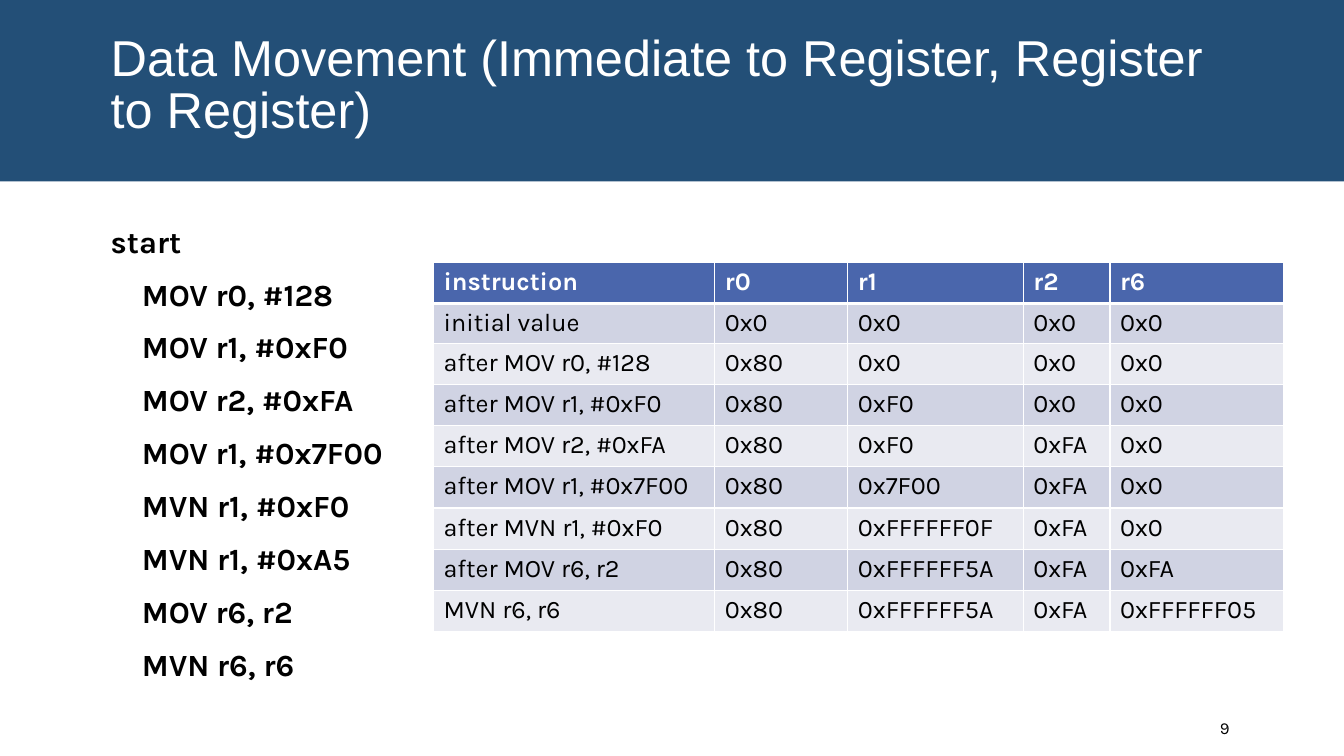
import pptx
import pptx.dml.color
import pptx.enum.shapes
import pptx.enum.text
import pptx.oxml
import pptx.oxml.ns
import pptx.util

SLIDE_WIDTH, SLIDE_HEIGHT = 13.33, 7.5
TITLE = "Data Movement (Immediate to Register, Register to Register)"
LABEL = "start"
INSTRUCTIONS = [
    "MOV r0, #128",
    "MOV r1, #0xF0",
    "MOV r2, #0xFA",
    "MOV r1, #0x7F00",
    "MVN r1, #0xF0",
    "MVN r1, #0xA5",
    "MOV r6, r2",
    "MVN r6, r6",
]
REGISTER_ROWS = [
    ("instruction", "r0", "r1", "r2", "r6"),
    ("initial value", "0x0", "0x0", "0x0", "0x0"),
    ("after MOV r0, #128", "0x80", "0x0", "0x0", "0x0"),
    ("after MOV r1, #0xF0", "0x80", "0xF0", "0x0", "0x0"),
    ("after MOV r2, #0xFA", "0x80", "0xF0", "0xFA", "0x0"),
    ("after MOV r1, #0x7F00", "0x80", "0x7F00", "0xFA", "0x0"),
    ("after MVN r1, #0xF0", "0x80", "0xFFFFFF0F", "0xFA", "0x0"),
    ("after MOV r6, r2", "0x80", "0xFFFFFF5A", "0xFA", "0xFA"),
    ("MVN r6, r6", "0x80", "0xFFFFFF5A", "0xFA", "0xFFFFFF05"),
]
PAGE_NUMBER = "9"

MARGIN = 1
CONTENT_WIDTH = SLIDE_WIDTH - 2 * MARGIN
BANNER_HEIGHT = 0.24 * SLIDE_HEIGHT
CODE_INDENT = 0.31
TABLE_LEFT, TABLE_TOP = 4.3, 2.6
COLUMN_WIDTHS = [2.79, 1.32, 1.74, 0.86, 1.72]
ROW_HEIGHTS = [0.41] + [0.39] * 2 + [0.41] * 6

WHITE, BLACK, BANNER_BLUE = "FFFFFF", "000000", "234F77"
HEADER_BLUE, BAND_COLORS = "4A66AC", ("D0D3E3", "E9EAF1")

TITLE_FONT = {"name": "Arial", "size": 36, "color": WHITE}
CODE_FONT = {"name": "Karla", "size": 22, "color": BLACK, "bold": True}
HEADER_FONT = {"name": "Karla", "size": 18, "color": WHITE, "bold": True}
CELL_FONT = {"name": "Karla", "size": 18, "color": BLACK, "bold": False}
NUMBER_FONT = {"name": "Karla", "size": 12, "color": BLACK}

CODE_SPACING = {
    "line_spacing": 0.9,
    "space_before": pptx.util.Pt(12),
    "space_after": pptx.util.Pt(2),
}


def rgb(color):
    return pptx.dml.color.RGBColor.from_string(color)


def inches(*lengths):
    return [pptx.util.Inches(length) for length in lengths]


def set_attributes(target, values):
    for name, value in values.items():
        setattr(target, name, value)


def write(paragraph, text, font, spacing=None):
    run = paragraph.add_run()
    run.text = text
    for name, value in font.items():
        if name == "color":
            run.font.color.rgb = rgb(value)
        else:
            setattr(run.font, name, pptx.util.Pt(value) if name == "size" else value)
    set_attributes(paragraph, spacing or {})


def add_text_frame(slide, box, middle=False):
    frame = slide.shapes.add_textbox(*inches(*box)).text_frame
    anchor = pptx.enum.text.MSO_ANCHOR
    frame.word_wrap = True
    frame.vertical_anchor = anchor.MIDDLE if middle else anchor.TOP
    return frame


def add_banner(slide):
    banner = slide.shapes.add_shape(
        pptx.enum.shapes.MSO_SHAPE.RECTANGLE, *inches(0, 0, SLIDE_WIDTH, BANNER_HEIGHT)
    )
    banner.shadow.inherit = False
    banner.fill.solid()
    banner.fill.fore_color.rgb = rgb(BANNER_BLUE)
    banner.line.fill.background()


def add_code(slide):
    frame = add_text_frame(slide, (MARGIN, 2.2, CONTENT_WIDTH, 4.6))
    write(frame.paragraphs[0], LABEL, CODE_FONT, CODE_SPACING)
    for instruction in INSTRUCTIONS:
        paragraph = frame.add_paragraph()
        write(paragraph, instruction, CODE_FONT, CODE_SPACING)
        indent = pptx.util.Inches(CODE_INDENT)
        paragraph._p.get_or_add_pPr().set("marL", str(indent))


def add_borders(cell, bottom_width):
    properties = cell._tc.get_or_add_tcPr()
    for side, width in {"L": 1, "R": 1, "T": 1, "B": bottom_width}.items():
        properties.append(pptx.oxml.parse_xml(
            f'<a:ln{side} {pptx.oxml.ns.nsdecls("a")} w="{pptx.util.Pt(width)}">'
            f'<a:solidFill><a:srgbClr val="{WHITE}"/></a:solidFill></a:ln{side}>'
        ))


def add_register_table(slide):
    box = (TABLE_LEFT, TABLE_TOP, sum(COLUMN_WIDTHS), sum(ROW_HEIGHTS))
    table = slide.shapes.add_table(
        len(REGISTER_ROWS), len(COLUMN_WIDTHS), *inches(*box)
    ).table
    for column, width in zip(table.columns, inches(*COLUMN_WIDTHS)):
        column.width = width
    for row, height in zip(table.rows, inches(*ROW_HEIGHTS)):
        row.height = height
    for row_index, values in enumerate(REGISTER_ROWS):
        is_header = row_index == 0
        fill = HEADER_BLUE if is_header else BAND_COLORS[(row_index - 1) % 2]
        for column_index, value in enumerate(values):
            cell = table.cell(row_index, column_index)
            add_borders(cell, 3 if is_header else 1)
            cell.fill.solid()
            cell.fill.fore_color.rgb = rgb(fill)
            font = HEADER_FONT if is_header else CELL_FONT
            write(cell.text_frame.paragraphs[0], value, font)


def main():
    presentation = pptx.Presentation()
    presentation.slide_width, presentation.slide_height = inches(SLIDE_WIDTH, SLIDE_HEIGHT)
    slide = presentation.slides.add_slide(presentation.slide_layouts[6])

    add_banner(slide)
    add_code(slide)
    title = add_text_frame(slide, (MARGIN, 0.31, CONTENT_WIDTH, 1.11), middle=True)
    write(title.paragraphs[0], TITLE, TITLE_FONT, {"line_spacing": 0.85})
    number = add_text_frame(slide, (12.05, 7.02, 1.03, 0.4), middle=True)
    number.margin_left = pptx.util.Inches(0.05)
    write(number.paragraphs[0], PAGE_NUMBER, NUMBER_FONT)
    add_register_table(slide)

    presentation.save("out.pptx")


if __name__ == "__main__":
    main()
